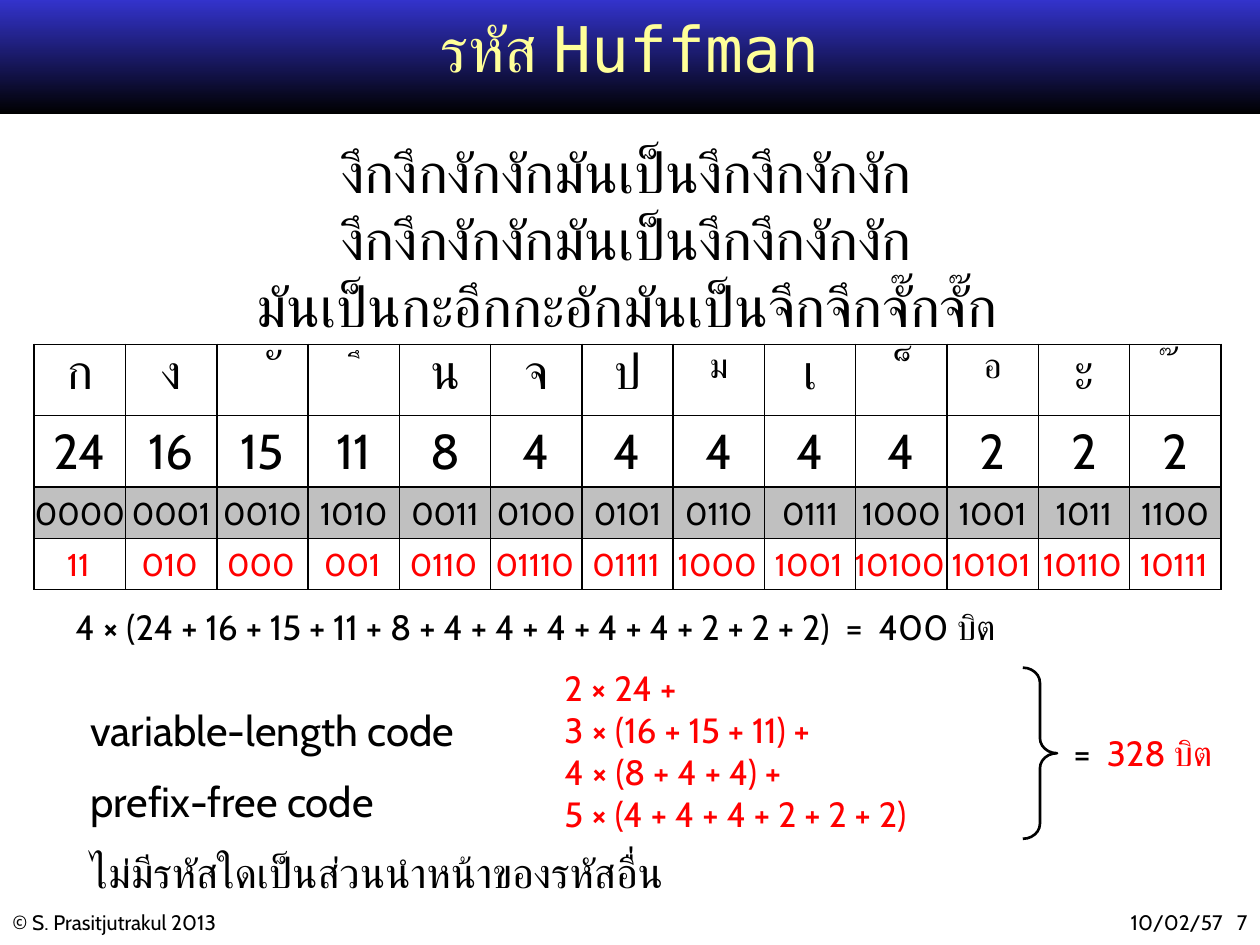
from dataclasses import dataclass

from lxml import etree
from pptx import Presentation
from pptx.dml.color import RGBColor
from pptx.enum.shapes import MSO_SHAPE
from pptx.enum.text import MSO_ANCHOR, PP_ALIGN
from pptx.oxml.ns import qn
from pptx.util import Cm, Pt

LEFT, CENTER, RIGHT = PP_ALIGN.LEFT, PP_ALIGN.CENTER, PP_ALIGN.RIGHT
TOP, MIDDLE = MSO_ANCHOR.TOP, MSO_ANCHOR.MIDDLE
RECTANGLE, RIGHT_BRACE = MSO_SHAPE.RECTANGLE, MSO_SHAPE.RIGHT_BRACE
PLAIN_TABLE_STYLE = "{2D5ABB26-0587-4C30-8999-92F81FD0307C}"


@dataclass(frozen=True)
class Theme:
    black: str = "000000"
    white: str = "FFFFFF"
    blue: str = "3333CC"
    yellow: str = "FFFF99"
    red: str = "FF0000"
    gray: str = "C0C0C0"
    body_font: str = "Cabin"
    title_font: str = "DejaVu Sans Mono"
    title: int = 36
    verse: int = 32
    symbol: int = 28
    notes: int = 24
    formula: int = 20
    code: int = 18
    footer: int = 12


THEME = Theme()
TABLE_LEFT, COLUMN_WIDTH = 0.69, 1.84
TALL_ROW, CODE_ROW = 1.43, 1.03

SYMBOLS = ["ก", "ง", "  ั", "  ึ", "น", "จ", "ป", "ม", "เ", "  ็", "อ", "ะ", " ๊"]
SMALL_SYMBOLS = ("  ึ", "ม", "อ")
COUNTS = "24 16 15 11 8 4 4 4 4 4 2 2 2".split()
FIXED_CODES = "0000 0001 0010 1010 0011 0100 0101 0110 0111 1000 1001 1011 1100".split()
HUFFMAN_CODES = "11 010 000 001 0110 01110 01111 1000 1001 10100 10101 10110 10111".split()

VERSE = "\v".join([
    "งึกงึกงักงักมันเป็นงึกงึกงักงัก",
    "งึกงึกงักงักมันเป็นงึกงึกงักงัก",
    "มันเป็นกะอึกกะอักมันเป็นจึกจึกจั๊กจั๊ก",
])
NOTES = ["variable-length code", "prefix-free code", "ไม่มีรหัสใดเป็นส่วนนำหน้าของรหัสอื่น"]
FIXED_SUM = ["4 × (24 + 16 + 15 + 11 + 8 + 4 + 4 + 4 + 4 + 4 + 2 + 2 + 2)  =  400 บิต"]
HUFFMAN_SUM = ["2 × 24 +", "3 × (16 + 15 + 11) +", "4 × (8 + 4 + 4) +", "5 × (4 + 4 + 4 + 2 + 2 + 2)"]


def rgb(color):
    return RGBColor.from_string(color)


def style_run(run, size, color, font=THEME.body_font, bold=False):
    run.font.size = Pt(size)
    run.font.name = font
    run.font.bold = bold
    run.font.color.rgb = rgb(color)


def add_text(slide, box, lines, size, color=THEME.black, font=THEME.body_font,
             align=LEFT, anchor=TOP, gap=0, spacing=None):
    frame = slide.shapes.add_textbox(*map(Cm, box)).text_frame
    frame.word_wrap = True
    frame.vertical_anchor = anchor
    frame.text = "\n".join(lines)
    for index, paragraph in enumerate(frame.paragraphs):
        paragraph.alignment = align
        paragraph.line_spacing = spacing
        paragraph.space_before = Pt(gap if index else 0)
        for run in paragraph.runs:
            style_run(run, size, color, font)
    return frame


def add_formula(slide, box, lines, color):
    frame = add_text(slide, box, lines, THEME.formula, color)
    for paragraph in frame.paragraphs:
        factor, product = paragraph.text.split("×")
        paragraph.runs[0].text = factor
        for text in ("×", product):
            run = paragraph.add_run()
            run.text = text
            style_run(run, THEME.formula, color, bold=text == "×")


def add_total(slide, box, total):
    paragraph = add_text(slide, box, ["=  "], THEME.formula).paragraphs[0]
    run = paragraph.add_run()
    run.text = total
    style_run(run, THEME.formula, THEME.red)


def add_grid(slide, left, top, heights):
    columns = len(SYMBOLS)
    frame = slide.shapes.add_table(len(heights), columns, Cm(left), Cm(top),
                                   Cm(COLUMN_WIDTH * columns), Cm(sum(heights)))
    table = frame.table
    table.first_row = table.horz_banding = False
    next(frame._element.iter(qn("a:tableStyleId"))).text = PLAIN_TABLE_STYLE
    for column in table.columns:
        column.width = Cm(COLUMN_WIDTH)
    for row, height in zip(table.rows, heights):
        row.height = Cm(height)
    return table


def tighten(cell):
    cell.margin_left = cell.margin_right = cell.margin_top = cell.margin_bottom = 0
    cell.vertical_anchor = MIDDLE


def outline(cell):
    properties = cell._tc.get_or_add_tcPr()
    for side in ("a:lnL", "a:lnR", "a:lnT", "a:lnB"):
        border = etree.SubElement(properties, qn(side), w=str(Pt(1)))
        fill = etree.SubElement(border, qn("a:solidFill"))
        etree.SubElement(fill, qn("a:srgbClr"), val=THEME.black)


def write_cell(cell, text, size, color=THEME.black):
    cell.text = text
    paragraph = cell.text_frame.paragraphs[0]
    paragraph.alignment = CENTER
    style_run(paragraph.runs[0], size, color)


def add_frequency_table(slide):
    table = add_grid(slide, TABLE_LEFT, 6.94, [TALL_ROW, TALL_ROW, CODE_ROW, CODE_ROW])
    row_fills = [THEME.white, THEME.white, THEME.gray, THEME.white]
    for column, (symbol, count) in enumerate(zip(SYMBOLS, COUNTS)):
        for row, color in enumerate(row_fills):
            cell = table.cell(row, column)
            outline(cell)
            cell.fill.solid()
            cell.fill.fore_color.rgb = rgb(color)
            if row > 1:
                tighten(cell)
        symbol_size = THEME.formula if symbol in SMALL_SYMBOLS else THEME.symbol
        write_cell(table.cell(0, column), symbol, symbol_size)
        write_cell(table.cell(1, column), count, THEME.symbol)


def add_code_row(slide, left, top, codes, color):
    table = add_grid(slide, left, top, [CODE_ROW])
    for cell, code in zip(table.rows[0].cells, codes):
        tighten(cell)
        cell.fill.background()
        write_cell(cell, code, THEME.code, color)


def add_banner(slide, width):
    banner = slide.shapes.add_shape(RECTANGLE, 0, 0, width, Cm(2.31))
    banner.shadow.inherit = False
    banner.line.fill.background()
    banner.fill.gradient()
    banner.fill.gradient_angle = 270
    for stop, color in zip(banner.fill.gradient_stops, (THEME.blue, THEME.black)):
        stop.color.rgb = rgb(color)


def add_brace(slide, box):
    brace = slide.shapes.add_shape(RIGHT_BRACE, *map(Cm, box))
    brace.shadow.inherit = False
    brace.fill.background()
    brace.line.color.rgb = rgb(THEME.black)
    brace.line.width = Pt(1.5)
    brace.adjustments[0] = 0.44


def main():
    deck = Presentation()
    deck.slide_width, deck.slide_height = Cm(25.4), Cm(19.05)
    slide = deck.slides.add_slide(deck.slide_layouts[6])

    add_banner(slide, deck.slide_width)
    add_text(slide, (0, 18.21, 8.26, 0.76), ["© S. Prasitjutrakul 2013"], THEME.footer)
    add_text(slide, (19.89, 18.21, 5.51, 0.76), ["10/02/57   7"], THEME.footer, align=RIGHT)
    add_frequency_table(slide)
    add_text(slide, (1.9, 0.2, 21.59, 1.8), ["รหัส Huffman"], THEME.title, THEME.yellow,
             THEME.title_font, CENTER, MIDDLE, spacing=0.8)
    add_text(slide, (2.03, 2.64, 21.21, 4.37), [VERSE], THEME.verse, align=CENTER)
    add_formula(slide, (1.27, 12.09, 24.08, 1.12), FIXED_SUM, THEME.black)
    add_formula(slide, (11.13, 13.31, 9.63, 3.68), HUFFMAN_SUM, THEME.red)
    add_brace(slide, (20.62, 13.46, 0.69, 3.45))
    add_total(slide, (21.39, 14.63, 4.01, 1.12), "328 บิต")
    add_code_row(slide, TABLE_LEFT, 9.86, FIXED_CODES, THEME.black)
    add_code_row(slide, 0.66, 10.87, HUFFMAN_CODES, THEME.red)
    add_text(slide, (1.57, 14.07, 14.63, 4.37), NOTES, THEME.notes, gap=THEME.notes / 2)

    deck.save("out.pptx")


if __name__ == "__main__":
    main()
